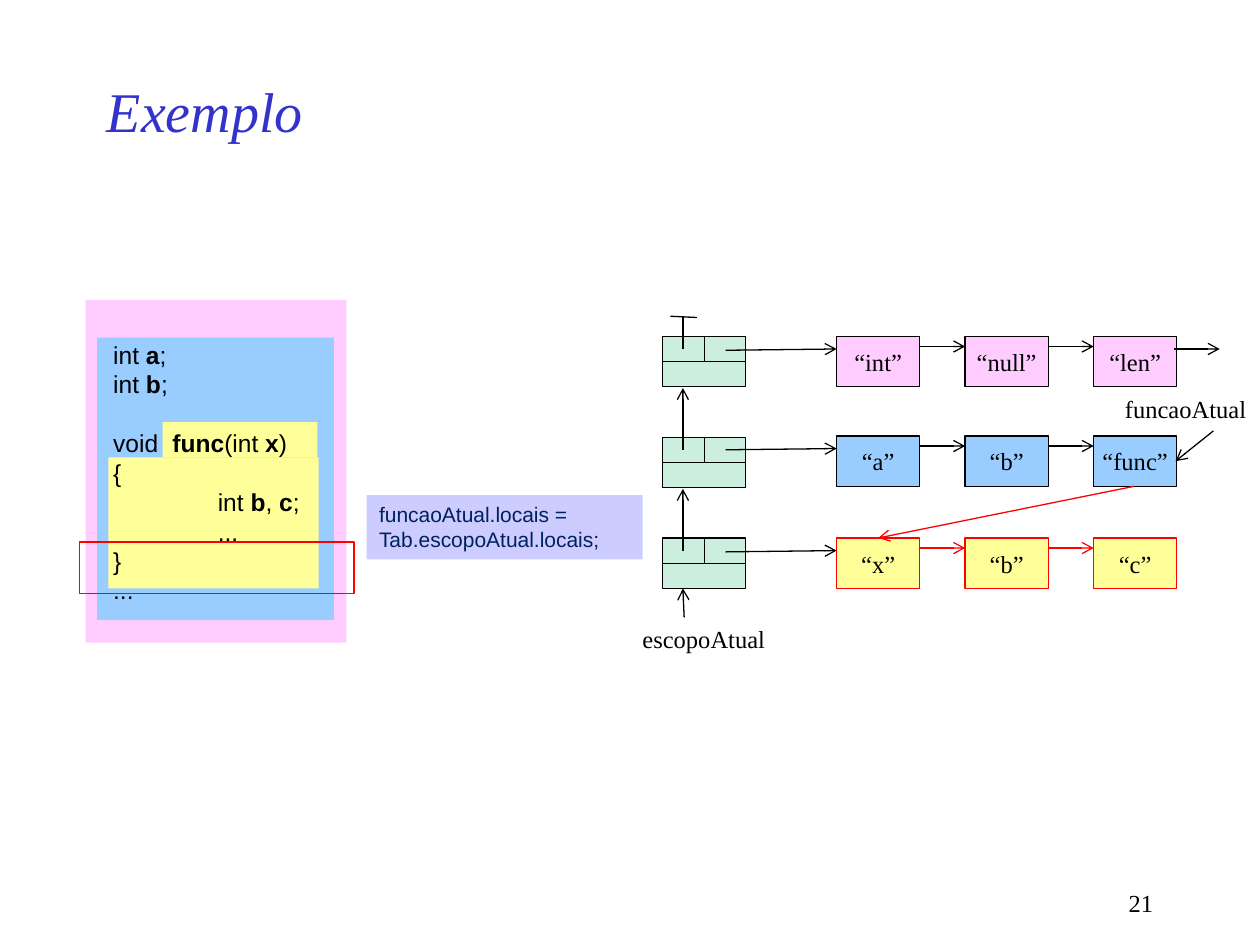
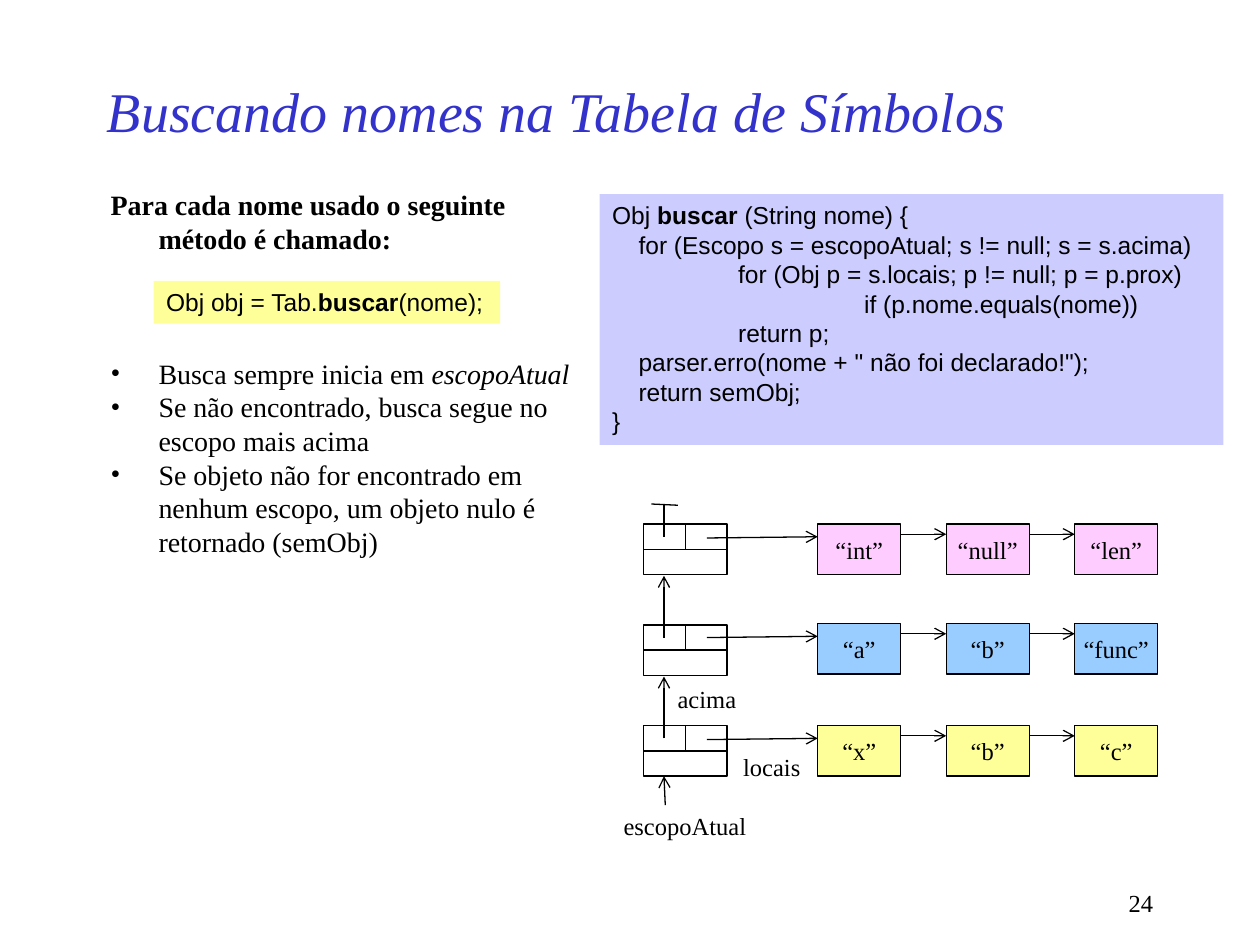
from pptx import Presentation
from pptx.dml.color import RGBColor
from pptx.enum.shapes import MSO_CONNECTOR as CONN, MSO_SHAPE as SHAPE
from pptx.enum.text import MSO_ANCHOR as ANCHOR, PP_ALIGN as ALIGN
from pptx.oxml.ns import qn
from pptx.util import Inches, Pt
from lxml import etree

SERIF, SANS = "Times New Roman", "Arial"
BLACK, RED, NAVY, TITLE = "000000", "FF0000", "002060", "3333CC"
PINK, BLUE, YELLOW, LILAC, MINT = "FFCCFF", "99CCFF", "FFFF99", "CCCCFF", "CCEEDF"

# Symbol table: scopes from outermost to innermost
SCOPES = [(0, PINK, ["int", "null", "len"]),
          (0.79, BLUE, ["a", "b", "func"]),
          (1.6, YELLOW, ["x", "b", "c"])]
SCOPE_STEP = 0.8
CELL_X, CELL_STEP = 1.38, 1.02
CELL_W, CELL_H = 0.66, 0.4


def rgb(color):
    return RGBColor.from_string(color)


# Shapes and lines
def add_box(s, x, y, w, h, fill=None, line=None, weight=0.75):
    sp = s.shapes.add_shape(SHAPE.RECTANGLE, *map(Inches, (x, y, w, h)))
    sp.shadow.inherit = False
    if fill:
        sp.fill.solid()
        sp.fill.fore_color.rgb = rgb(fill)
    else:
        sp.fill.background()
    if line:
        sp.line.color.rgb = rgb(line)
        sp.line.width = Pt(weight)
    else:
        sp.line.fill.background()
    return sp


def add_line(s, x1, y1, x2, y2, color=BLACK, arrow=False):
    cn = s.shapes.add_connector(CONN.STRAIGHT, *map(Inches, (x1, y1, x2, y2)))
    cn.line.color.rgb = rgb(color)
    cn.line.width = Pt(0.75)
    if arrow:
        ln = cn.line._get_or_add_ln()
        etree.SubElement(ln, qn("a:tailEnd"), type="arrow")
    etree.SubElement(cn._element.spPr, qn("a:effectLst"))


def add_arrow(s, x1, y1, x2, y2, color=BLACK):
    add_line(s, x1, y1, x2, y2, color, arrow=True)


# Text
def add_runs(p, text, size, font, color, emphasis="bold"):
    """Parts between asterisks get the emphasis."""
    for i, part in enumerate(text.split("*")):
        if part:
            r = p.add_run()
            r.text = part
            r.font.size = Pt(size)
            r.font.name = font
            r.font.color.rgb = rgb(color)
            if i % 2:
                setattr(r.font, emphasis, True)


def write(sp, lines, size=14, font=SERIF, color=BLACK, align=ALIGN.LEFT,
          anchor=ANCHOR.TOP, wrap=True, emphasis="bold"):
    tf = sp.text_frame
    tf.word_wrap = wrap
    tf.vertical_anchor = anchor
    for i, line in enumerate(lines):
        p = tf.add_paragraph() if i else tf.paragraphs[0]
        p.alignment = align
        add_runs(p, line, size, font, color, emphasis)
    return tf.paragraphs


def add_text(s, x, y, w, h, lines, **style):
    sp = s.shapes.add_textbox(*map(Inches, (x, y, w, h)))
    return write(sp, lines, **style)


def add_label(s, x, y, w, text):
    add_text(s, x, y, w, 0.34, [text], wrap=False)


def set_tabs(p, *stops):
    tabs = etree.SubElement(p._p.get_or_add_pPr(), qn("a:tabLst"))
    for stop in stops:
        etree.SubElement(tabs, qn("a:tab"), pos=str(Inches(stop)), algn="l")


def hang(p, bullet=False):
    pPr = p._p.get_or_add_pPr()
    pPr.set("marL", str(Inches(0.38)))
    pPr.set("indent", str(-Inches(0.38)))
    if bullet:
        etree.SubElement(pPr, qn("a:buFont"), typeface=SERIF)
        etree.SubElement(pPr, qn("a:buChar"), char="•")


# Parts shared by the slides
def new_slide(prs, title, number):
    s = prs.slides.add_slide(prs.slide_layouts[6])
    add_text(s, 7.17, 7, 2.08, 0.33, [number], align=ALIGN.RIGHT)
    add_text(s, 0.75, 0.5, 7.5, 0.75, [f"*{title}*"], size=32, color=TITLE,
             anchor=ANCHOR.MIDDLE, emphasis="italic")
    return s


def add_scope(s, x, y, fill):
    add_box(s, x, y, CELL_W, CELL_H, fill, BLACK)
    mid_x, mid_y = x + CELL_W / 2, y + CELL_H / 2
    add_line(s, x, mid_y, x + CELL_W, mid_y)
    add_line(s, mid_x, mid_y, mid_x, y)


def add_names(s, x, y, names, fill, line):
    for i, name in enumerate(names):
        left = x + i * CELL_STEP
        if i:
            add_arrow(s, left - CELL_STEP + CELL_W, y + 0.08, left, y + 0.08, line)
        sp = add_box(s, left, y, CELL_W, CELL_H, fill, line)
        write(sp, [f"“{name}”"], align=ALIGN.CENTER, anchor=ANCHOR.MIDDLE, wrap=False)


def add_symbol_table(s, x, y, scope_fill=None, inner_line=BLACK):
    link_x = x + 0.16
    for i, (dy, fill, names) in enumerate(SCOPES):
        top, row = y + i * SCOPE_STEP, y + dy
        add_scope(s, x, top, scope_fill)
        if i:
            add_arrow(s, link_x, top + 0.1, link_x, top - 0.39)
        add_arrow(s, x + 0.5, row + 0.11, x + CELL_X, row + 0.1)
        line = inner_line if i == len(SCOPES) - 1 else BLACK
        add_names(s, x + CELL_X, row, names, fill, line)
    # End of the chain above the outermost scope
    add_line(s, link_x, y + 0.1, link_x, y - 0.15)
    add_line(s, x + 0.06, y - 0.16, x + 0.27, y - 0.15)
    # Pointer to the current scope
    add_label(s, x - 0.26, y + 2.23, 1.19, "escopoAtual")
    add_arrow(s, x + 0.17, y + 2.23, link_x, y + 2)


def example_slide(prs):
    s = new_slide(prs, "Exemplo", "21")

    # Nested scopes behind the code
    add_box(s, 0.68, 2.38, 2.07, 2.72, PINK)
    add_box(s, 0.77, 2.68, 1.88, 2.24, BLUE)
    add_box(s, 0.86, 3.63, 1.67, 1.04, YELLOW)
    add_box(s, 1.29, 3.35, 1.23, 0.28, YELLOW)
    code = add_text(s, 0.8, 2.65, 1.81, 2.23, [
        "int *a*;", "int *b*;", "void\t*func*(int *x*)", "{",
        "\tint *b*, *c*;", "\t...", "}", "..."], font=SANS)
    code[2].space_before = Pt(16.8)
    for i, p in enumerate(code):
        set_tabs(p, 0.47 if i == 2 else 0.83)

    add_symbol_table(s, 5.26, 2.67, MINT, RED)

    # Current step and its effect
    add_box(s, 0.63, 4.3, 2.18, 0.41, line=RED, weight=1)
    note = add_box(s, 2.91, 3.93, 2.19, 0.51, LILAC)
    write(note, ["funcaoAtual.locais = Tab.escopoAtual.locais;"],
          size=12, font=SANS, color=NAVY)
    add_label(s, 8.83, 3.08, 1.17, "funcaoAtual")
    add_arrow(s, 9.32, 2.77, 9.68, 2.77)
    add_arrow(s, 9.63, 3.42, 9.33, 3.66)
    add_arrow(s, 9, 3.86, 6.97, 4.27, RED)


def search_slide(prs):
    s = new_slide(prs, "Buscando nomes na Tabela de Símbolos", "24")

    # Explanation
    add_text(s, 0.78, 1.44, 3.92, 0.65,
             ["*Para cada nome usado o seguinte método é chamado:*"], size=16)
    hang(s.shapes[-1].text_frame.paragraphs[0])
    points = add_text(s, 0.78, 2.78, 3.92, 1.73, [
        "Busca sempre inicia em *escopoAtual*",
        "Se não encontrado, busca segue no escopo mais acima",
        "Se objeto não for encontrado em nenhum escopo, "
        "um objeto nulo é retornado (semObj)"], size=16, emphasis="italic")
    for p in points:
        hang(p, bullet=True)

    # Call and method
    call = add_box(s, 1.22, 2.23, 2.75, 0.34, YELLOW)
    write(call, ["Obj obj = Tab.*buscar*(nome);"], font=SANS)
    method = add_box(s, 4.76, 1.54, 4.95, 1.99, LILAC)
    code = write(method, [
        "Obj *buscar* (String nome) {",
        "\tfor (Escopo s = escopoAtual; s != null; s = s.acima)",
        "\t\tfor (Obj p = s.locais; p != null; p = p.prox)",
        "\t\t\tif (p.nome.equals(nome))",
        "\t\treturn p;",
        "\tparser.erro(nome + \" não foi declarado!\");",
        "\treturn semObj;",
        "}"], font=SANS)
    for p in code:
        set_tabs(p, 0.21, 1, 2)

    # Symbol table with its links named
    add_symbol_table(s, 5.11, 4.16)
    add_label(s, 5.8, 5.92, 0.66, "locais")
    add_label(s, 5.28, 5.38, 0.67, "acima")


def main():
    prs = Presentation()
    prs.slide_width, prs.slide_height = Inches(10), Inches(7.5)
    example_slide(prs)
    search_slide(prs)
    prs.save("out.pptx")


main()
